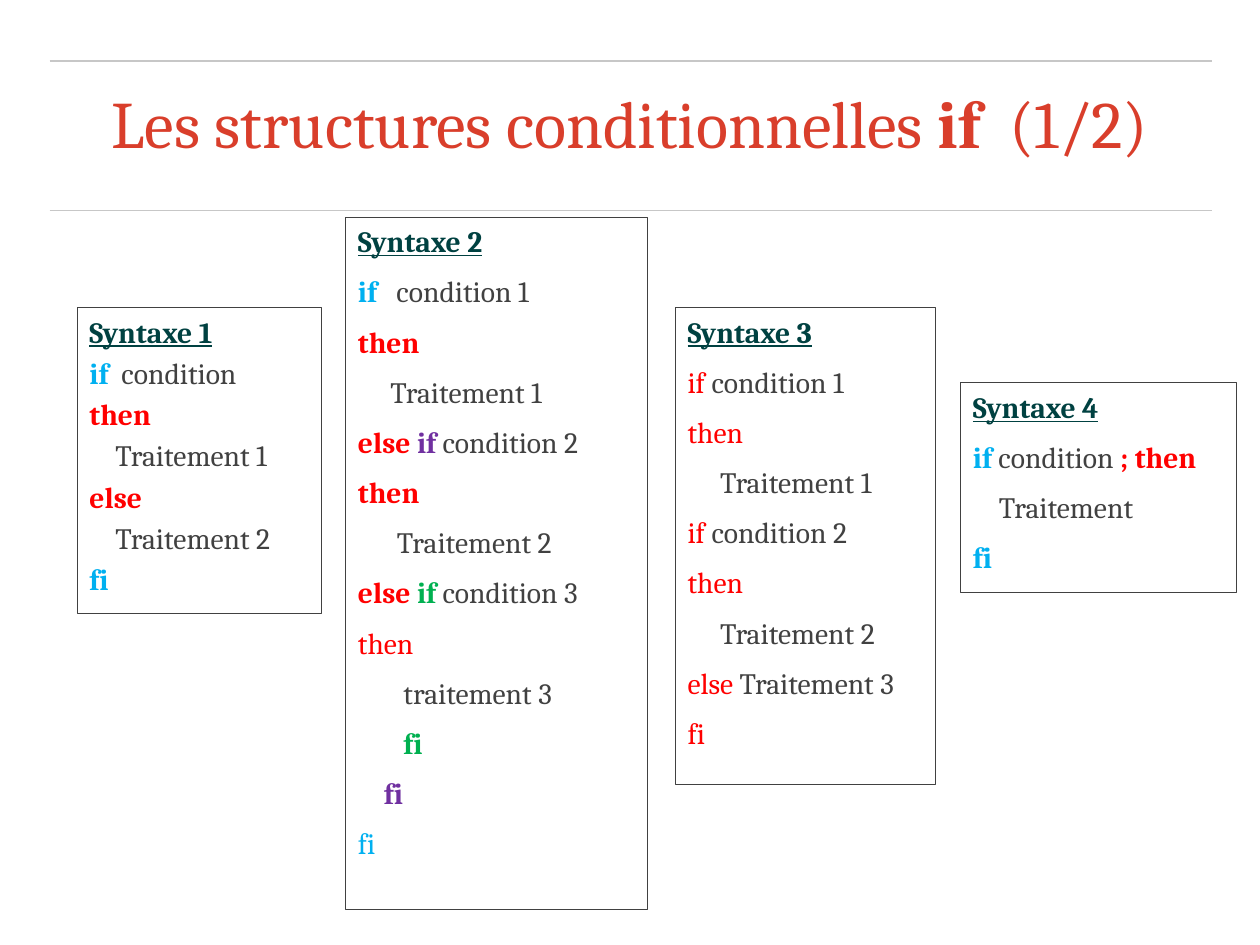
from lxml import etree
from pptx import Presentation
from pptx.dml.color import RGBColor
from pptx.enum.shapes import MSO_CONNECTOR, MSO_SHAPE
from pptx.enum.text import MSO_ANCHOR, MSO_AUTO_SIZE, PP_ALIGN
from pptx.oxml.ns import qn
from pptx.util import Inches, Pt

STRAIGHT = MSO_CONNECTOR.STRAIGHT
RECTANGLE = MSO_SHAPE.RECTANGLE
TOP = MSO_ANCHOR.TOP
NO_AUTOFIT = MSO_AUTO_SIZE.NONE
LEFT, CENTER = PP_ALIGN.LEFT, PP_ALIGN.CENTER

FONT = "Cambria"
CODE_SIZE, TITLE_SIZE = 24, 54
COLORS = {
    "title": "D93E2B", "heading": "004141", "text": "414141", "rule": "C7C7C7",
    "red": "FF0000", "blue": "00B0F0", "purple": "7030A0", "green": "00B050",
}

# A run is (text, color name, bold)
TITLE = [("Les structures conditionnelles ", "title", False),
         ("if  ", "title", True), ("(1/2)", "title", False)]
RULES_Y = (0.69, 2.38)
RULE_X = (0.56, 13.68)


def plain(text):
    return (text, "text", False)


def bold(text, color="red"):
    return (text, color, True)


def light(text, color="red"):
    return (text, color, False)


# heading, (left, top, width, height), space before as a share of the size, code lines
PANELS = [
    ("Syntaxe 1", (0.87, 3.47, 2.76, 3.46), 0.2, [
        [bold("if", "blue"), plain("  condition")],
        [bold("then")],
        [plain("    Traitement 1")],
        [bold("else")],
        [plain("    Traitement 2")],
        [bold("fi", "blue")],
    ]),
    ("Syntaxe 2", (3.9, 2.45, 3.41, 7.82), 0.5, [
        [bold("if", "blue"), plain("   condition 1")],
        [bold("then")],
        [plain("     Traitement 1")],
        [bold("else "), bold("if ", "purple"), plain("condition 2")],
        [bold("then")],
        [plain("      Traitement 2")],
        [bold("else "), bold("if ", "green"), plain("condition 3")],
        [light("then")],
        [plain("       traitement 3")],
        [bold("       fi", "green")],
        [bold("    fi", "purple")],
        [light("fi", "blue")],
    ]),
    ("Syntaxe 3", (7.62, 3.47, 2.94, 5.39), 0.5, [
        [light("if"), plain(" condition 1")],
        [light("then")],
        [plain("     Traitement 1")],
        [light("if "), plain("condition 2")],
        [light("then")],
        [plain("     Traitement 2")],
        [light("else"), plain(" Traitement 3")],
        [light("fi")],
    ]),
    ("Syntaxe 4", (10.84, 4.32, 3.11, 2.37), 0.5, [
        [bold("if ", "blue"), plain("condition "), bold("; then")],
        [plain("    Traitement")],
        [bold("fi", "blue")],
    ]),
]


def rgb(name):
    return RGBColor.from_string(COLORS[name])


def place(sp, box):
    sp.left, sp.top, sp.width, sp.height = map(Inches, box)


def set_frame(tf, side, top, bottom):
    tf.word_wrap = True
    tf.auto_size = NO_AUTOFIT
    tf.vertical_anchor = TOP
    tf.margin_left = tf.margin_right = Inches(side)
    tf.margin_top, tf.margin_bottom = Inches(top), Inches(bottom)


def write_runs(p, runs, size):
    p.font.name, p.font.size = FONT, Pt(size)
    for text, color, is_bold in runs:
        r = p.add_run()
        r.text = text
        r.font.name, r.font.size = FONT, Pt(size)
        r.font.bold = is_bold
        r.font.color.rgb = rgb(color)


def add_rule(s, y):
    line = s.shapes.add_connector(
        STRAIGHT, Inches(RULE_X[0]), Inches(y), Inches(RULE_X[1]), Inches(y))
    line.line.color.rgb = rgb("rule")
    line.line.width = Pt(1)
    etree.SubElement(line._element.spPr, qn("a:effectLst"))


def add_panel(s, heading, box, gap, code):
    sp = s.shapes.add_shape(RECTANGLE, *map(Inches, box))
    sp.shadow.inherit = False
    sp.fill.background()
    sp.line.color.rgb = rgb("text")
    sp.line.width = Pt(0.5)
    tf = sp.text_frame
    set_frame(tf, 0.14, 0.07, 0.07)
    for i, runs in enumerate([[bold(heading, "heading")]] + code):
        p = tf.add_paragraph() if i else tf.paragraphs[0]
        p.alignment = LEFT
        p.space_before = Pt(gap * CODE_SIZE if i else 0)
        write_runs(p, runs, CODE_SIZE)
    tf.paragraphs[0].runs[0].font.underline = True


def main():
    prs = Presentation()
    prs.slide_width, prs.slide_height = Inches(14.22), Inches(10.67)
    s = prs.slides.add_slide(prs.slide_layouts[5])

    title = s.shapes.title
    place(title, (0.71, 0.93, 12.8, 1.3))
    set_frame(title.text_frame, 0.06, 0, 0.06)
    p = title.text_frame.paragraphs[0]
    p.alignment = CENTER
    write_runs(p, TITLE, TITLE_SIZE)

    for y in RULES_Y:
        add_rule(s, y)
    for panel in PANELS:
        add_panel(s, *panel)
    prs.save("out.pptx")


if __name__ == "__main__":
    main()
